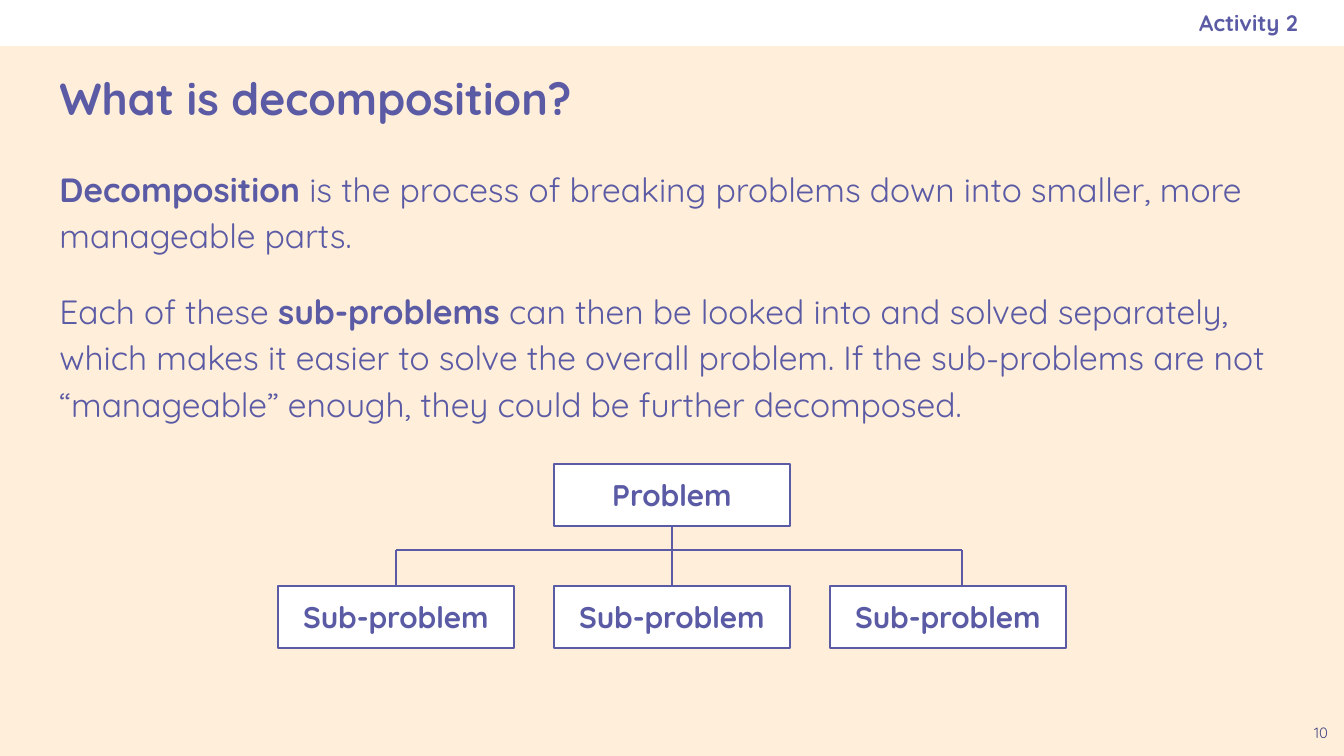
import pptx
import pptx.util
import pptx.dml.color
import pptx.enum.shapes
import pptx.enum.text
import pptx.oxml.ns
from lxml import etree

Pt = pptx.util.Pt
ALIGN = pptx.enum.text.PP_ALIGN
ANCHOR = pptx.enum.text.MSO_ANCHOR
RECT = pptx.enum.shapes.MSO_SHAPE.RECTANGLE
LINE = pptx.enum.shapes.MSO_CONNECTOR.STRAIGHT
qn = pptx.oxml.ns.qn

HEX = {"page": "FFEFDA", "white": "FFFFFF", "ink": "5B5BA5", "dim": "494985"}
FONT = "Quicksand"

# Text runs are (words, bold)
TITLE = [[("What is decomposition?", True)]]
TAG = [[("Activity 2", True)]]
NUMBER = [[("10", False)]]
BODY = [
    [("Decomposition", True),
     (" is the process of breaking problems down into smaller, more "
      "manageable parts.", False)],
    [("Each of these ", False), ("sub-problems", True),
     (" can then be looked into and solved separately, which makes it easier "
      "to solve the overall problem. If the sub-problems are not "
      "“manageable” enough, they could be further decomposed.", False)],
]
ROOT = "Problem"
PARTS = ["Sub-problem", "Sub-problem", "Sub-problem"]

# Lengths in px
WIDE, HIGH = 1344, 756
BAR = (0, 0, WIDE, 46)
BOX_W, BOX_H, STEP = 236, 62, 276
ROOT_TOP, PART_TOP, RAIL = 464, 586, 550
MID = WIDE // 2
ENDS = (396, 962)


def px(n):
    return round(n * 914400 / 134.4)


def color(name):
    return pptx.dml.color.RGBColor.from_string(HEX[name])


def place(shape, spot):
    for key, n in zip(("left", "top", "width", "height"), spot):
        setattr(shape, key, px(n))


def write(shape, paras, size, align=ALIGN.LEFT, anchor=ANCHOR.MIDDLE,
          ink="ink", right=7.2, line=1.0, gap=0):
    frame = shape.text_frame
    form = {"word_wrap": True, "vertical_anchor": anchor,
            "auto_size": pptx.enum.text.MSO_AUTO_SIZE.NONE,
            "margin_left": Pt(7.2), "margin_top": Pt(7.2),
            "margin_right": Pt(right), "margin_bottom": Pt(7.2)}
    for key, val in form.items():
        setattr(frame, key, val)
    for i, runs in enumerate(paras):
        para = frame.paragraphs[0] if i == 0 else frame.add_paragraph()
        props = para._p.get_or_add_pPr()
        props.set("marL", "0")
        props.set("indent", "0")
        etree.SubElement(props, qn("a:buNone"))
        form = {"alignment": align, "line_spacing": line,
                "space_before": Pt(gap if i else 0), "space_after": Pt(0)}
        for key, val in form.items():
            setattr(para, key, val)
        for words, bold in runs:
            run = para.add_run()
            run.text = words
            form = {"name": FONT, "size": Pt(size), "bold": bold}
            for key, val in form.items():
                setattr(run.font, key, val)
            run.font.color.rgb = color(ink)


def block(slide, spot, edge=None):
    shape = slide.shapes.add_shape(RECT, *map(px, spot))
    shape.shadow.inherit = False
    shape.fill.solid()
    shape.fill.fore_color.rgb = color("white")
    if edge:
        shape.line.color.rgb = color(edge)
        shape.line.width = Pt(0.75)
    else:
        shape.line.fill.background()
    return shape


def node(slide, mid, top, words):
    shape = block(slide, (mid - BOX_W // 2, top, BOX_W, BOX_H), "ink")
    write(shape, [[(words, True)]], 16, ALIGN.CENTER)


def link(slide, *ends):
    line = slide.shapes.add_connector(LINE, *map(px, ends))
    line.line.color.rgb = color("ink")
    line.line.width = Pt(1.5)
    etree.SubElement(line._element.spPr, qn("a:effectLst"))


def main():
    deck = pptx.Presentation()
    deck.slide_width, deck.slide_height = px(WIDE), px(HIGH)
    slide = deck.slides.add_slide(deck.slide_layouts[1])
    slide.background.fill.solid()
    slide.background.fill.fore_color.rgb = color("page")

    block(slide, BAR)
    title, body = slide.placeholders
    place(title, (46, 46, 1253, 103))
    write(title, TITLE, 24)
    place(body, (46, 149, 1253, 560))
    write(body, BODY, 18, anchor=ANCHOR.TOP, line=1.15, gap=16)

    tag = slide.shapes.add_textbox(*map(px, (773, 0, 525, 46)))
    write(tag, TAG, 12, ALIGN.RIGHT, right=0)
    number = slide.shapes.add_textbox(*map(px, (1298, 710, 46, 46)))
    write(number, NUMBER, 8, ALIGN.CENTER, ANCHOR.TOP, "dim")

    link(slide, MID, ROOT_TOP + BOX_H, MID, PART_TOP)
    link(slide, ENDS[0], RAIL, ENDS[1], RAIL)
    for x in ENDS:
        link(slide, x, RAIL, x, PART_TOP)
    node(slide, MID, ROOT_TOP, ROOT)
    for i, words in enumerate(PARTS):
        node(slide, MID + (i - 1) * STEP, PART_TOP, words)

    deck.save("out.pptx")


if __name__ == "__main__":
    main()
